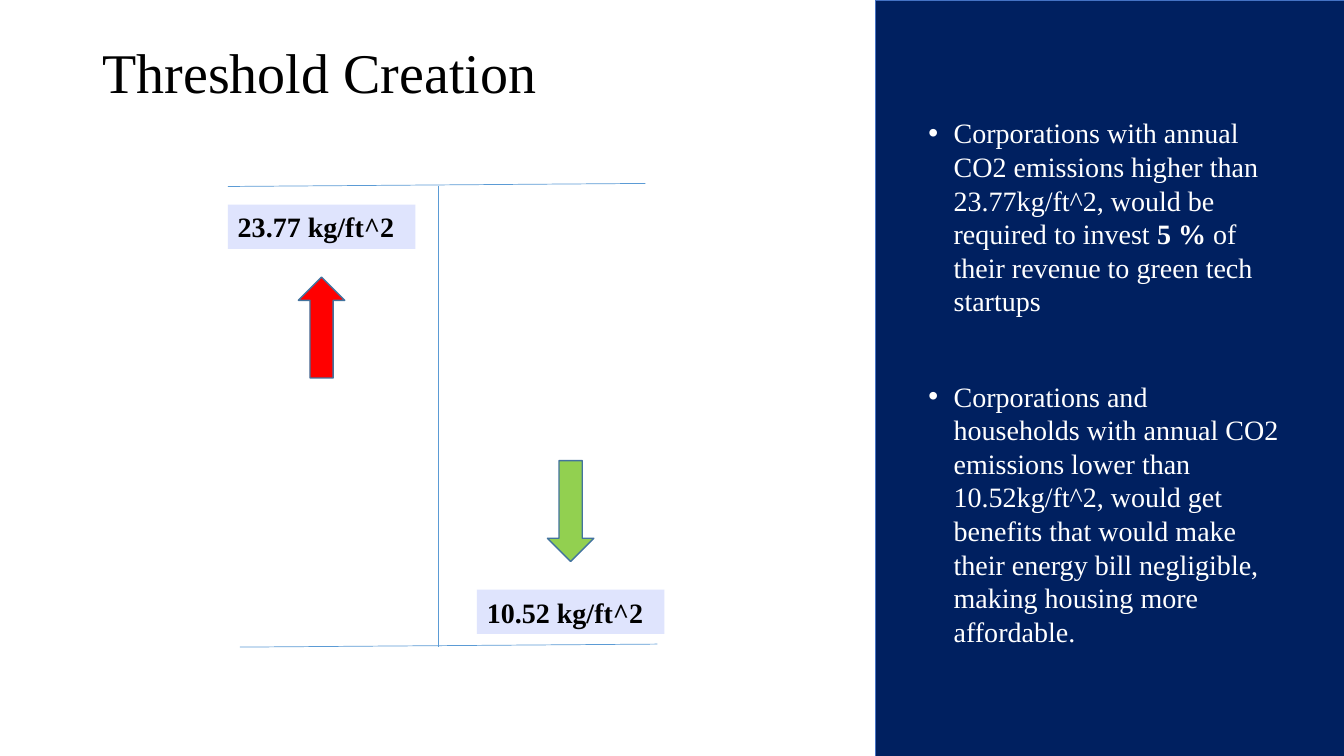
"""Build the Threshold Creation slide."""
from lxml import etree
from pptx import Presentation
from pptx.dml.color import RGBColor
from pptx.enum import shapes, text
from pptx.oxml import ns
from pptx.util import Inches, Pt

FONT = "Times New Roman"
BLACK = RGBColor(0x00, 0x00, 0x00)
WHITE = RGBColor(0xFF, 0xFF, 0xFF)
NAVY = RGBColor(0x00, 0x20, 0x60)
PANEL_EDGE = RGBColor(0x44, 0x72, 0xC4)
LINE_BLUE = RGBColor(0x5B, 0x9B, 0xD5)
LAVENDER = RGBColor(0xDF, 0xE4, 0xFD)
RED = RGBColor(0xFF, 0x00, 0x00)
GREEN = RGBColor(0x92, 0xD0, 0x50)
ARROW_EDGE = RGBColor(0x43, 0x73, 0x9E)

ARROW_SIZE = (0.46, 1)
LABEL_SIZE = (1.86, 0.44)
BULLETS = [
    [("Corporations with annual CO2 emissions higher than 23.77kg/ft^2, "
      "would be required to invest ", False),
     ("5 % ", True),
     ("of their revenue to green tech startups", False)],
    [("Corporations and households with annual CO2 emissions lower than "
      "10.52kg/ft^2, would get benefits that would make their energy bill "
      "negligible, making housing more affordable.", False)],
]


def add_run(paragraph, wording, size, color, bold=False):
    """Append one formatted run to a paragraph."""
    run = paragraph.add_run()
    run.text = wording
    run.font.name = FONT
    run.font.size = Pt(size)
    run.font.bold = bold
    run.font.color.rgb = color


def add_text_box(slide, left, top, width, height):
    """Add an empty wrapping text box."""
    box = slide.shapes.add_textbox(*map(Inches, (left, top, width, height)))
    box.text_frame.word_wrap = True
    return box


def add_title(slide, wording):
    """Add the slide title."""
    paragraph = add_text_box(slide, 0.92, 0.4, 11.5, 1.45).text_frame.paragraphs[0]
    paragraph.line_spacing = 0.9
    add_run(paragraph, wording, 40, BLACK)


def add_shape(slide, kind, left, top, width, height, fill, edge, edge_width):
    """Add a filled and outlined preset shape."""
    shape = slide.shapes.add_shape(kind, *map(Inches, (left, top, width, height)))
    shape.shadow.inherit = False
    shape.fill.solid()
    shape.fill.fore_color.rgb = fill
    shape.line.color.rgb = edge
    shape.line.width = Pt(edge_width)


def add_bullets(slide, bullets):
    """Add the bulleted explanation on the panel."""
    frame = add_text_box(slide, 9.11, 1.1, 3.68, 5.66).text_frame
    for index, runs in enumerate(bullets):
        paragraph = frame.add_paragraph() if index else frame.paragraphs[0]
        paragraph.line_spacing = Pt(24)
        paragraph.space_before = Pt(44 if index else 0)
        properties = paragraph._p.get_or_add_pPr()
        properties.set("marL", str(Inches(0.25)))
        properties.set("indent", str(Inches(-0.25)))
        etree.SubElement(properties, ns.qn("a:buFont")).set("typeface", "Arial")
        etree.SubElement(properties, ns.qn("a:buChar")).set("char", "•")
        for wording, bold in runs:
            add_run(paragraph, wording, 20, WHITE, bold)


def add_line(slide, *ends):
    """Add a thin blue line from start to end."""
    line = slide.shapes.add_connector(
        shapes.MSO_CONNECTOR.STRAIGHT, *map(Inches, ends))
    line.line.color.rgb = LINE_BLUE
    line.line.width = Pt(0.5)
    etree.SubElement(line._element.spPr, ns.qn("a:effectLst"))


def add_label(slide, left, top, wording):
    """Add a shaded threshold value."""
    box = add_text_box(slide, left, top, *LABEL_SIZE)
    box.fill.solid()
    box.fill.fore_color.rgb = LAVENDER
    box.text_frame.vertical_anchor = text.MSO_ANCHOR.MIDDLE
    add_run(box.text_frame.paragraphs[0], wording, 20, BLACK, True)


def main():
    """Assemble and save the slide."""
    presentation = Presentation()
    presentation.slide_width = Inches(13.33)
    presentation.slide_height = Inches(7.5)
    slide = presentation.slides.add_slide(presentation.slide_layouts[6])
    kinds = shapes.MSO_SHAPE

    add_title(slide, "Threshold Creation")
    add_shape(slide, kinds.RECTANGLE, 8.68, 0, 4.65, 7.5, NAVY, PANEL_EDGE, 0.5)
    add_bullets(slide, BULLETS)
    add_line(slide, 4.35, 1.85, 4.35, 6.42)
    add_line(slide, 6.52, 6.39, 2.38, 6.42)
    add_line(slide, 6.4, 1.82, 2.26, 1.85)
    add_label(slide, 2.26, 2.03, "23.77 kg/ft^2")
    add_label(slide, 4.73, 5.85, "10.52 kg/ft^2")
    add_shape(slide, kinds.UP_ARROW, 2.96, 2.75, *ARROW_SIZE, RED, ARROW_EDGE, 1)
    add_shape(slide, kinds.DOWN_ARROW, 5.43, 4.57, *ARROW_SIZE, GREEN, ARROW_EDGE, 1)
    presentation.save("out.pptx")


if __name__ == "__main__":
    main()
